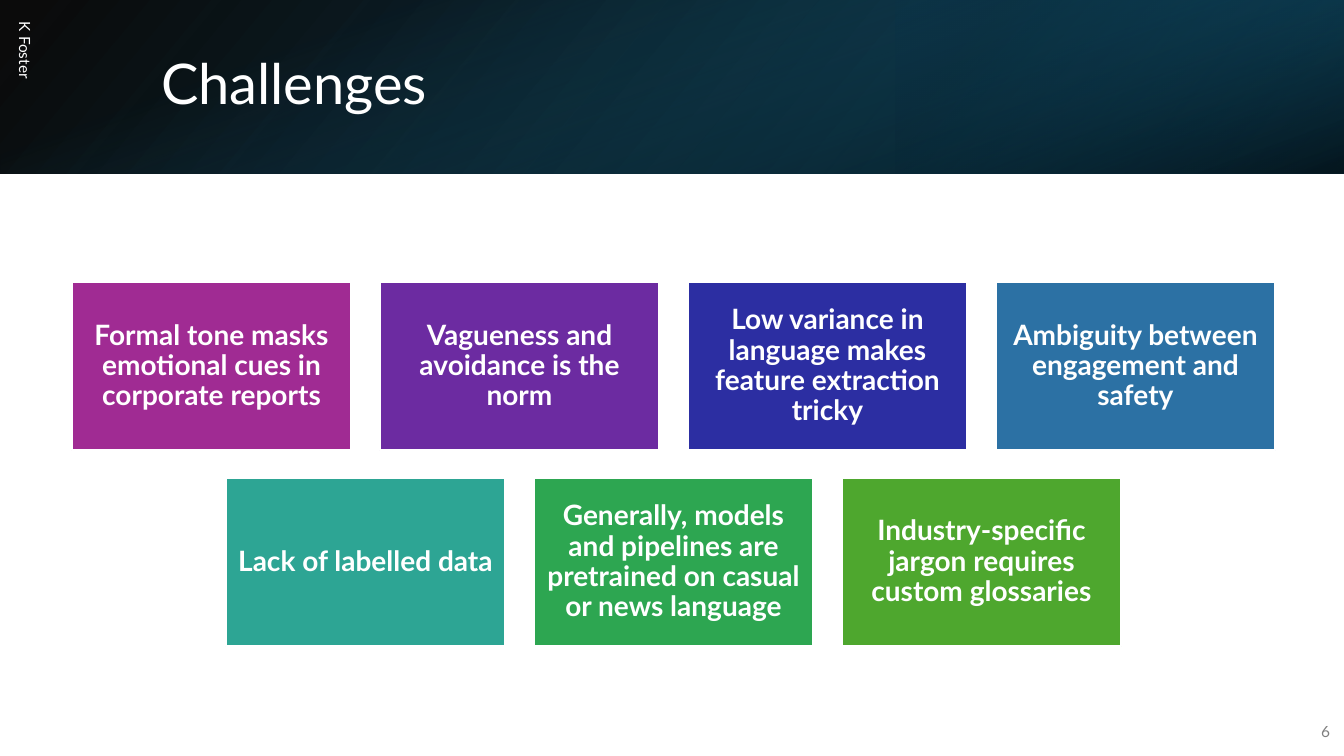
from pptx import Presentation
from pptx.dml.color import RGBColor
from pptx.enum.shapes import MSO_SHAPE
from pptx.enum.text import MSO_ANCHOR, PP_ALIGN
from pptx.oxml import parse_xml
from pptx.oxml.ns import nsdecls, qn
from pptx.util import Inches, Pt

WIDTH, HEIGHT = 13.33, 7.5
BANNER_HEIGHT = 1.72
FONT = "Lato"
COLORS = {
    "white": "FFFFFF", "grey": "808080", "black": "000000",
    "navy": "104862", "midnight": "0B3041", "teal": "156082",
}
CHALLENGE_ROWS = [
    [("Formal tone masks emotional cues in corporate reports", "A02B93"),
     ("Vagueness and avoidance is the norm", "6C2BA1"),
     ("Low variance in language makes feature extraction tricky", "2C2EA2"),
     ("Ambiguity between engagement and safety", "2C71A4")],
    [("Lack of labelled data", "2DA594"),
     ("Generally, models and pipelines are pretrained on casual or news language", "2DA651"),
     ("Industry-specific jargon requires custom glossaries", "4EA72E")],
]


def add_rectangle(slide, box):
    rectangle = slide.shapes.add_shape(MSO_SHAPE.RECTANGLE, *map(Inches, box))
    rectangle.shadow.inherit = False
    return rectangle


def write(shape, wording, color, size, inset=(0.1, 0.05), bold=False, **paragraph_format):
    """Put one paragraph, centred vertically, into the shape."""
    frame = shape.text_frame
    across, down = map(Inches, inset)
    frame_format = {
        "word_wrap": True, "vertical_anchor": MSO_ANCHOR.MIDDLE,
        "margin_left": across, "margin_right": across,
        "margin_top": down, "margin_bottom": down,
    }
    for name, value in frame_format.items():
        setattr(frame, name, value)
    paragraph = frame.paragraphs[0]
    for name, value in paragraph_format.items():
        setattr(paragraph, name, value)
    run = paragraph.add_run()
    run.text = wording
    for name, value in {"name": FONT, "size": Pt(size), "bold": bold}.items():
        setattr(run.font, name, value)
    run.font.color.rgb = RGBColor.from_string(color)


def add_gradient(slide, box, stops, angle, rotation=0, flipped=False):
    """Stops are (position, colour name, opacity), both numbers in percent."""
    layer = add_rectangle(slide, box)
    layer.rotation = rotation
    layer.line.fill.background()
    layer.fill.gradient()
    properties = layer.element.spPr
    if flipped:
        properties.find(qn("a:xfrm")).set("flipH", "1")
    stop_xml = "".join(
        f'<a:gs pos="{position * 1000}"><a:srgbClr val="{COLORS[color]}">'
        f'<a:alpha val="{opacity * 1000}"/></a:srgbClr></a:gs>'
        for position, color, opacity in stops)
    gradient = parse_xml(
        f'<a:gradFill {nsdecls("a")} rotWithShape="1"><a:gsLst>{stop_xml}</a:gsLst>'
        f'<a:lin ang="{angle * 60000}" scaled="0"/></a:gradFill>')
    properties.replace(properties.find(qn("a:gradFill")), gradient)


def add_banner(slide, box, heading):
    left, top, width, height = box
    add_gradient(slide, box, [(0, "black", 96), (100, "navy", 100)], 140, flipped=True)
    add_gradient(slide, (left + width * 2 / 3, top, width / 3, height),
                 [(19, "midnight", 68), (100, "teal", 79)], 320, rotation=180, flipped=True)
    turned = (left + (width - height) / 2, top + (height - width) / 2, height, width)
    add_gradient(slide, turned, [(23, "teal", 0), (99, "black", 74)], 340, rotation=90)
    title_box = (left + 1.5, top + 0.38, width - 2.35, 0.96)
    title = slide.shapes.add_textbox(*map(Inches, title_box))
    write(title, heading, COLORS["white"], 40, line_spacing=0.9)


def add_label(slide, box, wording, color, alignment, rotation=0):
    label = slide.shapes.add_textbox(*map(Inches, box))
    label.rotation = rotation
    write(label, wording, COLORS[color], 11, alignment=alignment, space_after=Pt(6))


def add_challenge_tiles(slide, box, rows):
    """Centre each row in the box; the longest row fills its width."""
    left, top, width, _ = box
    columns = max(map(len, rows))
    tile_width = width / (columns + 0.1 * (columns - 1))
    tile_height, gap = 0.6 * tile_width, 0.1 * tile_width
    pitch = tile_width + gap
    for row_number, row in enumerate(rows):
        row_left = left + (columns - len(row)) * pitch / 2
        row_top = top + row_number * (tile_height + gap)
        for column, (challenge, color) in enumerate(row):
            tile = add_rectangle(slide, (row_left + column * pitch, row_top,
                                         tile_width, tile_height))
            tile.fill.solid()
            tile.fill.fore_color.rgb = RGBColor.from_string(color)
            tile.line.color.rgb = RGBColor.from_string(COLORS["white"])
            tile.line.width = Pt(1.5)
            write(tile, challenge, COLORS["white"], 20, inset=(0.08, 0.08), bold=True,
                  alignment=PP_ALIGN.CENTER, line_spacing=0.9, space_after=Pt(7))


def main():
    deck = Presentation()
    deck.slide_width, deck.slide_height = Inches(WIDTH), Inches(HEIGHT)
    slide = deck.slides.add_slide(deck.slide_layouts[6])
    add_banner(slide, (0, 0, WIDTH, BANNER_HEIGHT), "Challenges")
    add_label(slide, (-2, 2.17, 4.5, 0.4), "K Foster", "white", PP_ALIGN.LEFT, rotation=90)
    add_label(slide, (12.8, 7.06, 0.49, 0.4), "6", "grey", PP_ALIGN.RIGHT)
    add_challenge_tiles(slide, (0.71, 2.8, 11.94, 3.61), CHALLENGE_ROWS)
    deck.save("out.pptx")


if __name__ == "__main__":
    main()
